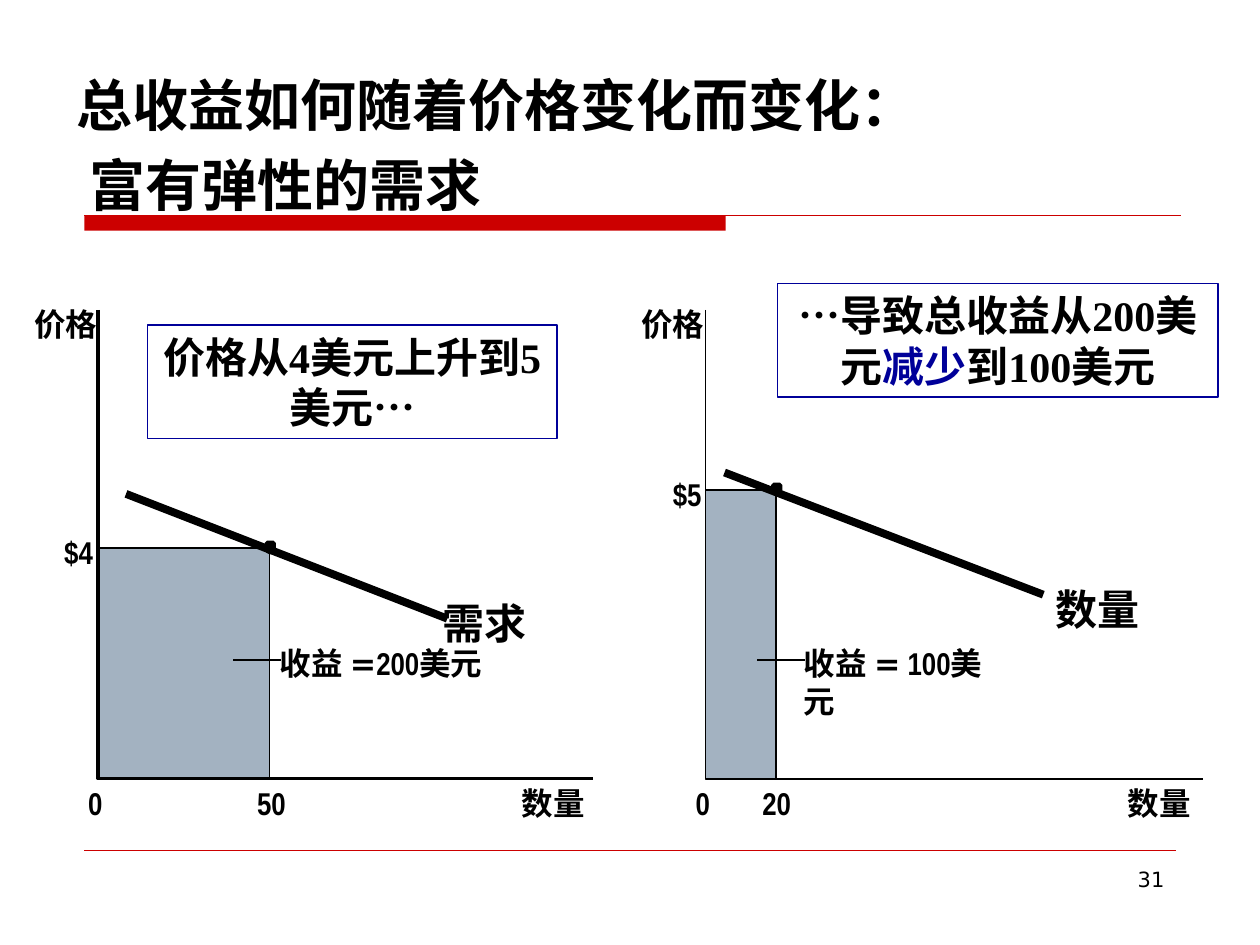
from dataclasses import dataclass
from pptx import Presentation
from pptx.dml.color import RGBColor
from pptx.enum.shapes import MSO_CONNECTOR, MSO_SHAPE
from pptx.enum.text import MSO_ANCHOR, PP_ALIGN
from pptx.oxml import parse_xml
from pptx.util import Inches, Pt


@dataclass(frozen=True)
class Theme:
    black: str = "000000"
    white: str = "FFFFFF"
    red: str = "CC0000"
    blue: str = "000099"
    area: str = "A3B2C1"
    serif: str = "Times New Roman"
    narrow: str = "Arial Narrow"
    plain: str = "DejaVu Sans"
    title: int = 32
    large: int = 24
    label: int = 18
    number: int = 12


@dataclass(frozen=True)
class Panel:
    left: float
    right: float
    axis_width: float
    point: tuple
    price: str
    quantity: str
    demand: tuple
    curve_name: str
    curve_label: tuple
    price_left: float
    quantity_left: float
    axis_label_left: float
    revenue: str
    revenue_left: float


THEME = Theme()
AXIS_TOP, AXIS_BOTTOM = 2.46, 6.18
EFFECTS = '<a:effectLst xmlns:a="http://schemas.openxmlformats.org/drawingml/2006/main"/>'
DOT = [(0, 0.05), (0.03, 0.04), (0.05, 0.02), (0.05, -0.04), (0.03, -0.06),
       (-0.02, -0.06), (-0.04, -0.04), (-0.04, 0.02), (-0.02, 0.04)]
PANELS = [
    Panel(0.78, 4.71, 2, (2.14, 4.35), "$4", "50", (1, 3.92, 3.55, 4.91),
          "需求", (3.51, 4.74), 0.51, 2.04, 4.14, "200美元", 2.22),
    Panel(5.6, 9.55, 1, (6.16, 3.89), "$5", "20", (5.75, 3.75, 8.28, 4.72),
          "数量", (8.38, 4.63), 5.34, 6.05, 8.95, " 100美元", 6.38),
]


def paint(shape, fill=None, line=None, width=1):
    shape.shadow.inherit = False
    if fill:
        shape.fill.solid()
        shape.fill.fore_color.rgb = RGBColor.from_string(fill)
    else:
        shape.fill.background()
    if line:
        shape.line.color.rgb = RGBColor.from_string(line)
        shape.line.width = Pt(width)
    else:
        shape.line.fill.background()


def add_rectangle(page, left, top, width, height, fill, line=None):
    box = page.shapes.add_shape(MSO_SHAPE.RECTANGLE, Inches(left), Inches(top),
                                Inches(width), Inches(height))
    paint(box, fill, line)
    return box


def add_outline(page, points, fill=None, line=None, width=1):
    start, *rest = [(Inches(x), Inches(y)) for x, y in points]
    builder = page.shapes.build_freeform(*start)
    builder.add_line_segments(rest, close=bool(fill))
    paint(builder.convert_to_shape(), fill, line, width)


def add_line(page, ends, color, width):
    line = page.shapes.add_connector(MSO_CONNECTOR.STRAIGHT, *map(Inches, ends))
    line.line.color.rgb = RGBColor.from_string(color)
    line.line.width = Pt(width)
    line._element.spPr.append(parse_xml(EFFECTS))


def write(box, spans, size, font, bold=True, align=PP_ALIGN.LEFT, inset=True):
    frame = box.text_frame
    frame.word_wrap = True
    frame.vertical_anchor = MSO_ANCHOR.TOP
    if not inset:
        frame.margin_left = frame.margin_right = 0
        frame.margin_top = frame.margin_bottom = 0
    para = frame.paragraphs[0]
    para.alignment = align
    for text, style in spans:
        span = para.add_run()
        span.text = text
        span.font.size = Pt(size)
        span.font.bold = bold
        span.font.name = style.get("font", font)
        span.font.color.rgb = RGBColor.from_string(style.get("color", THEME.black))
    return para


def add_textbox(page, left, top, width, height):
    return page.shapes.add_textbox(Inches(left), Inches(top), Inches(width), Inches(height))


def add_label(page, spans, left, top, size=THEME.label, width=0.75):
    box = add_textbox(page, left, top, width, size / 60)
    write(box, spans, size, THEME.narrow, inset=False)


def add_callout(page, spans, left, top, width):
    box = add_rectangle(page, left, top, width, 0.9, THEME.white, THEME.blue)
    write(box, spans, THEME.large, THEME.serif, align=PP_ALIGN.CENTER)


def add_title(page):
    box = add_textbox(page, 0.51, 0.36, 9, 1.42)
    para = box.text_frame.paragraphs[0]
    para.text = "总收益如何随着价格变化而变化：\v 富有弹性的需求"
    para.line_spacing = 1.2
    for span in para.runs:
        span.font.size = Pt(THEME.title)
        span.font.bold = True
        span.font.name = THEME.serif
        span.font.color.rgb = RGBColor.from_string(THEME.black)
    box.text_frame.word_wrap = True
    box.text_frame.vertical_anchor = MSO_ANCHOR.BOTTOM


def add_panel(page, panel):
    x, y = panel.point
    add_rectangle(page, panel.left, y, x - panel.left, AXIS_BOTTOM - y, THEME.area)
    add_outline(page, [(panel.left, AXIS_TOP), (panel.left, AXIS_BOTTOM),
                       (panel.right, AXIS_BOTTOM)], line=THEME.black, width=panel.axis_width)
    add_outline(page, [(x, AXIS_BOTTOM), (x, y), (panel.left, y)], line=THEME.black)
    add_line(page, panel.demand, THEME.black, 4.5)
    add_outline(page, [(x + dx, y + dy) for dx, dy in DOT], fill=THEME.black)
    add_line(page, (panel.revenue_left - 0.37, 5.24, panel.revenue_left + 0.01, 5.24),
             THEME.black, 1)
    for text, left, top in [("价格", panel.left - 0.51, 2.42),
                            (panel.price, panel.price_left, y - 0.12),
                            ("0", panel.left - 0.08, 6.22),
                            (panel.quantity, panel.quantity_left, 6.22),
                            ("数量", panel.axis_label_left, 6.22)]:
        add_label(page, [(text, {})], left, top)
    add_label(page, [(panel.curve_name, {})], *panel.curve_label, THEME.large)
    add_label(page, [("收益 ", {}), ("=", {"font": THEME.plain}), (panel.revenue, {})],
              panel.revenue_left, 5.11, width=1.65)


def main():
    deck = Presentation()
    deck.slide_width, deck.slide_height = Inches(10), Inches(7.5)
    page = deck.slides.add_slide(deck.slide_layouts[6])
    add_rectangle(page, 0.67, 1.71, 5.09, 0.12, THEME.red)
    add_line(page, (0.67, 1.71, 9.37, 1.71), THEME.red, 0.75)
    add_line(page, (0.67, 6.75, 9.33, 6.75), THEME.red, 0.25)
    add_title(page)
    for panel in PANELS:
        add_panel(page, panel)
    add_callout(page, [("价格从4美元上升到5美元…", {})], 1.17, 2.58, 3.25)
    add_callout(page, [("…导致总收益从200美元", {}), ("减少", {"color": THEME.blue}),
                       ("到100美元", {})], 6.17, 2.25, 3.5)
    write(add_textbox(page, 7.17, 6.83, 2.17, 0.52), [("31", {})], THEME.number,
          THEME.plain, bold=False, align=PP_ALIGN.RIGHT)
    deck.save("out.pptx")


if __name__ == "__main__":
    main()
